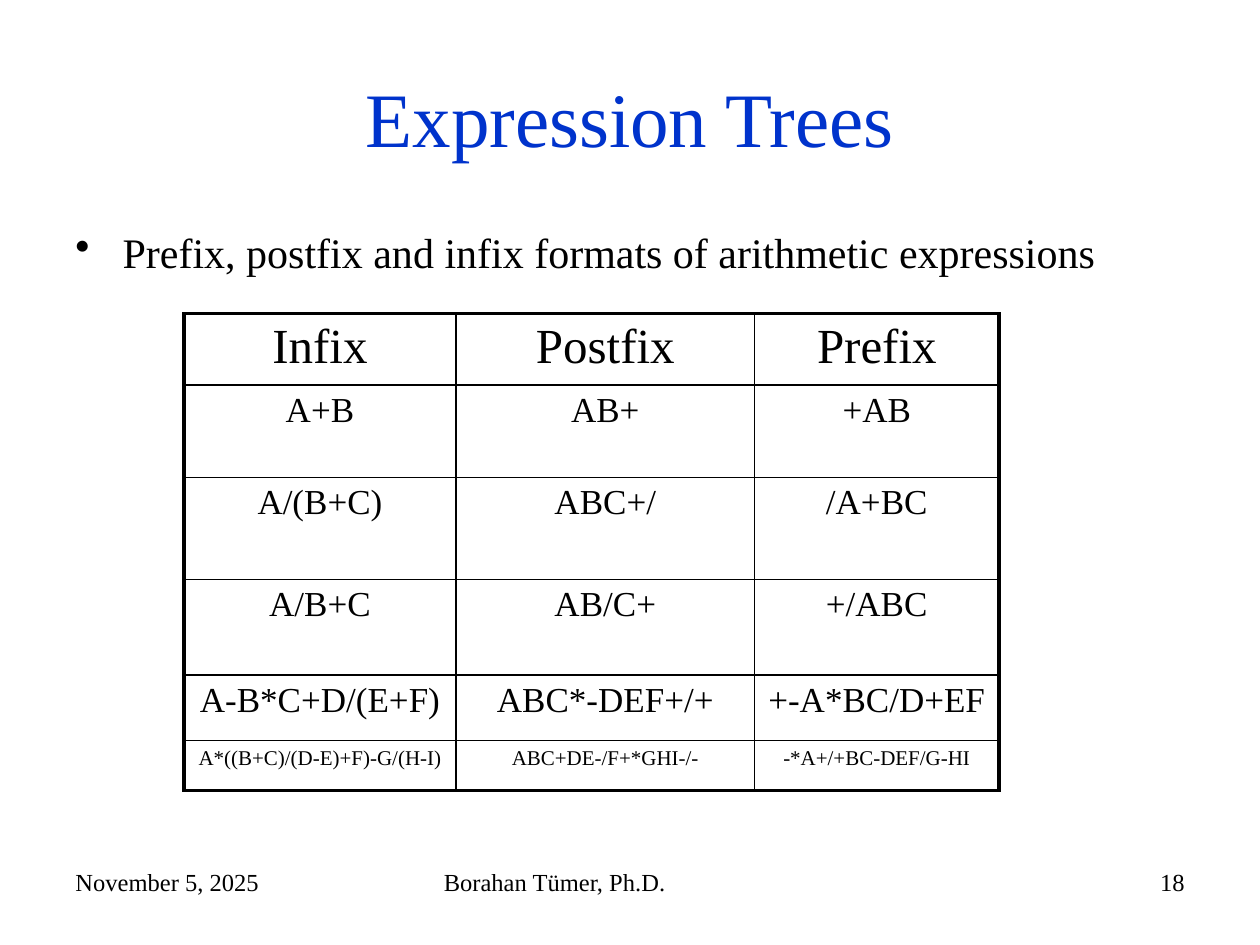
from lxml.etree import SubElement
from pptx import Presentation
from pptx.dml.color import RGBColor
from pptx.enum.text import MSO_ANCHOR as Anchor, PP_ALIGN as Align
from pptx.oxml.ns import qn
from pptx.util import Pt

FONT = "Times New Roman"
COLORS = {"text": "000000", "title": "0033CC", "border": "000000"}
THIN, THICK = 1, 2.25

COLUMN_WIDTHS = [155.5, 170.6, 139.7]
# Row height, font size, cell texts
ROWS = [
    (38, 28, ["Infix", "Postfix", "Prefix"]),
    (52.6, 20, ["A+B", "AB+", "+AB"]),
    (58.3, 20, ["A/(B+C)", "ABC+/", "/A+BC"]),
    (54.7, 20, ["A/B+C", "AB/C+", "+/ABC"]),
    (37.4, 20, ["A-B*C+D/(E+F)", "ABC*-DEF+/+", "+-A*BC/D+EF"]),
    (28.8, 12, ["A*((B+C)/(D-E)+F)-G/(H-I)", "ABC+DE-/F+*GHI-/-", "-*A+/+BC-DEF/G-HI"]),
]


def format_paragraph(paragraph, size, color="text", align=Align.LEFT):
    paragraph.alignment = align
    for run in paragraph.runs:
        run.font.name = FONT
        run.font.size = Pt(size)
        run.font.color.rgb = RGBColor.from_string(COLORS[color])


def add_text(slide, text, box, size, color="text", align=Align.LEFT, anchor=Anchor.TOP):
    text_box = slide.shapes.add_textbox(*map(Pt, box))
    text_frame = text_box.text_frame
    text_frame.word_wrap = True
    text_frame.vertical_anchor = anchor
    text_frame.text = text
    paragraph = text_frame.paragraphs[0]
    format_paragraph(paragraph, size, color, align)
    return paragraph


def add_bullet(paragraph, indent):
    properties = paragraph._p.get_or_add_pPr()
    properties.set("marL", str(Pt(indent)))
    properties.set("indent", str(-Pt(indent)))
    SubElement(properties, qn("a:buChar"), char="•")


def set_borders(cell, widths):
    """Draw the left, right, top and bottom borders in the given widths."""
    properties = cell._tc.get_or_add_tcPr()
    for position, (side, width) in enumerate(zip("LRTB", widths)):
        line = SubElement(properties, qn(f"a:ln{side}"), w=str(Pt(width)))
        properties.insert(position, line)
        fill = SubElement(line, qn("a:solidFill"))
        SubElement(fill, qn("a:srgbClr"), val=COLORS["border"])


def add_expression_table(slide, left, top):
    last_row, last_column = len(ROWS) - 1, len(COLUMN_WIDTHS) - 1
    height = sum(row[0] for row in ROWS)
    frame = slide.shapes.add_table(
        len(ROWS), len(COLUMN_WIDTHS),
        Pt(left), Pt(top), Pt(sum(COLUMN_WIDTHS)), Pt(height),
    )
    table = frame.table
    table.first_row = table.horz_banding = False
    for column, width in zip(table.columns, COLUMN_WIDTHS):
        column.width = Pt(width)
    for i, (row_height, size, texts) in enumerate(ROWS):
        table.rows[i].height = Pt(row_height)
        for j, text in enumerate(texts):
            cell = table.cell(i, j)
            cell.text = text
            cell.fill.background()
            format_paragraph(cell.text_frame.paragraphs[0], size, align=Align.CENTER)
            outer = (j == 0, j == last_column, i == 0, i == last_row)
            set_borders(cell, [THICK if edge else THIN for edge in outer])


def main():
    presentation = Presentation()
    presentation.slide_width, presentation.slide_height = Pt(720), Pt(540)
    slide = presentation.slides.add_slide(presentation.slide_layouts[6])

    add_text(slide, "Expression Trees", (36, 21.6, 648, 90), 44, "title",
             Align.CENTER, Anchor.MIDDLE)
    statement = add_text(slide, "Prefix, postfix and infix formats of arithmetic expressions",
                         (36, 126, 602, 47.5), 24)
    add_bullet(statement, 27)
    add_expression_table(slide, 105.1, 179.3)

    for text, left, width, align in [
        ("November 5, 2025", 36, 168, Align.LEFT),
        ("Borahan Tümer, Ph.D.", 246.5, 228, Align.LEFT),
        ("18", 516, 168, Align.RIGHT),
    ]:
        add_text(slide, text, (left, 491.8, width, 37.4), 14, align=align)

    presentation.save("out.pptx")


if __name__ == "__main__":
    main()
